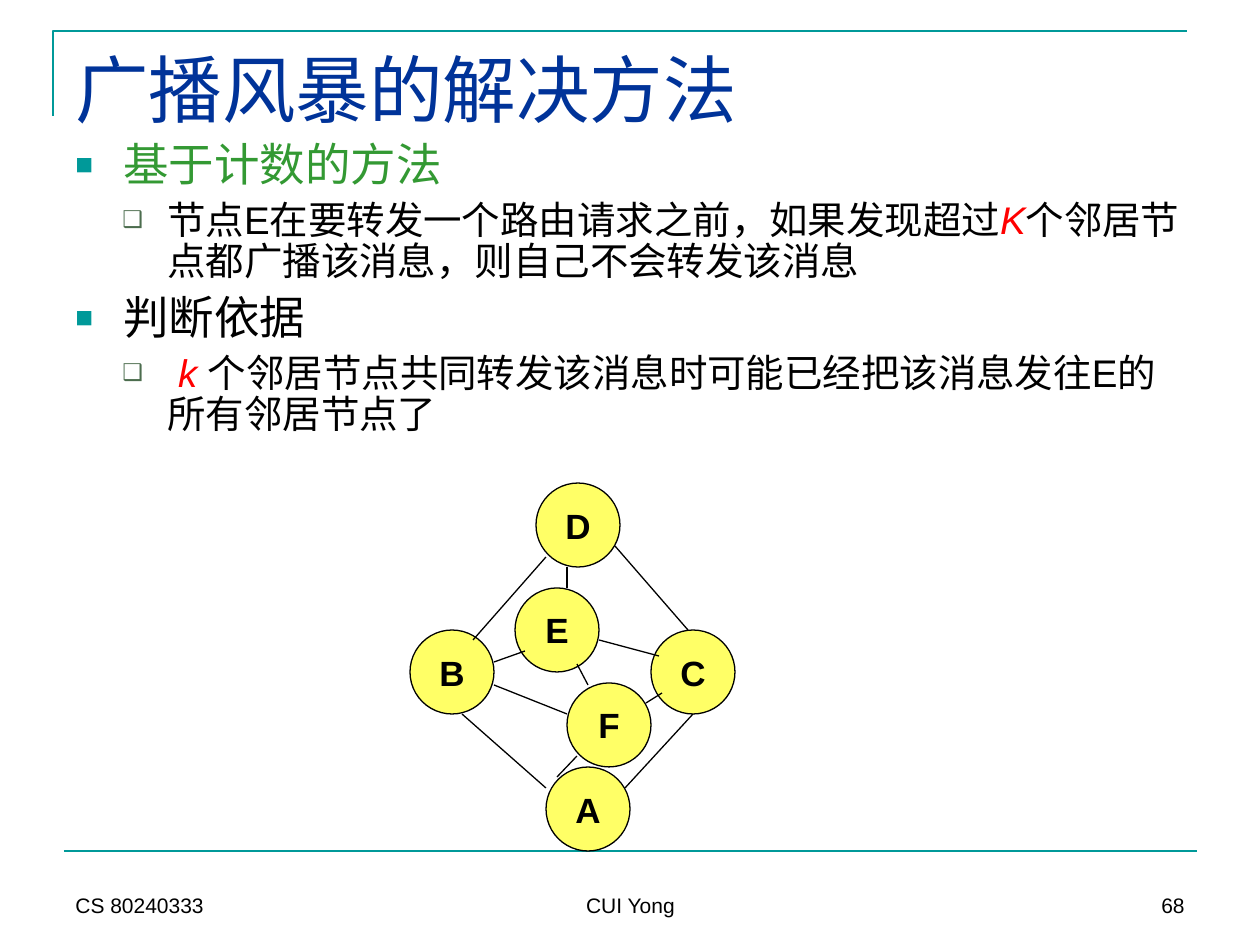
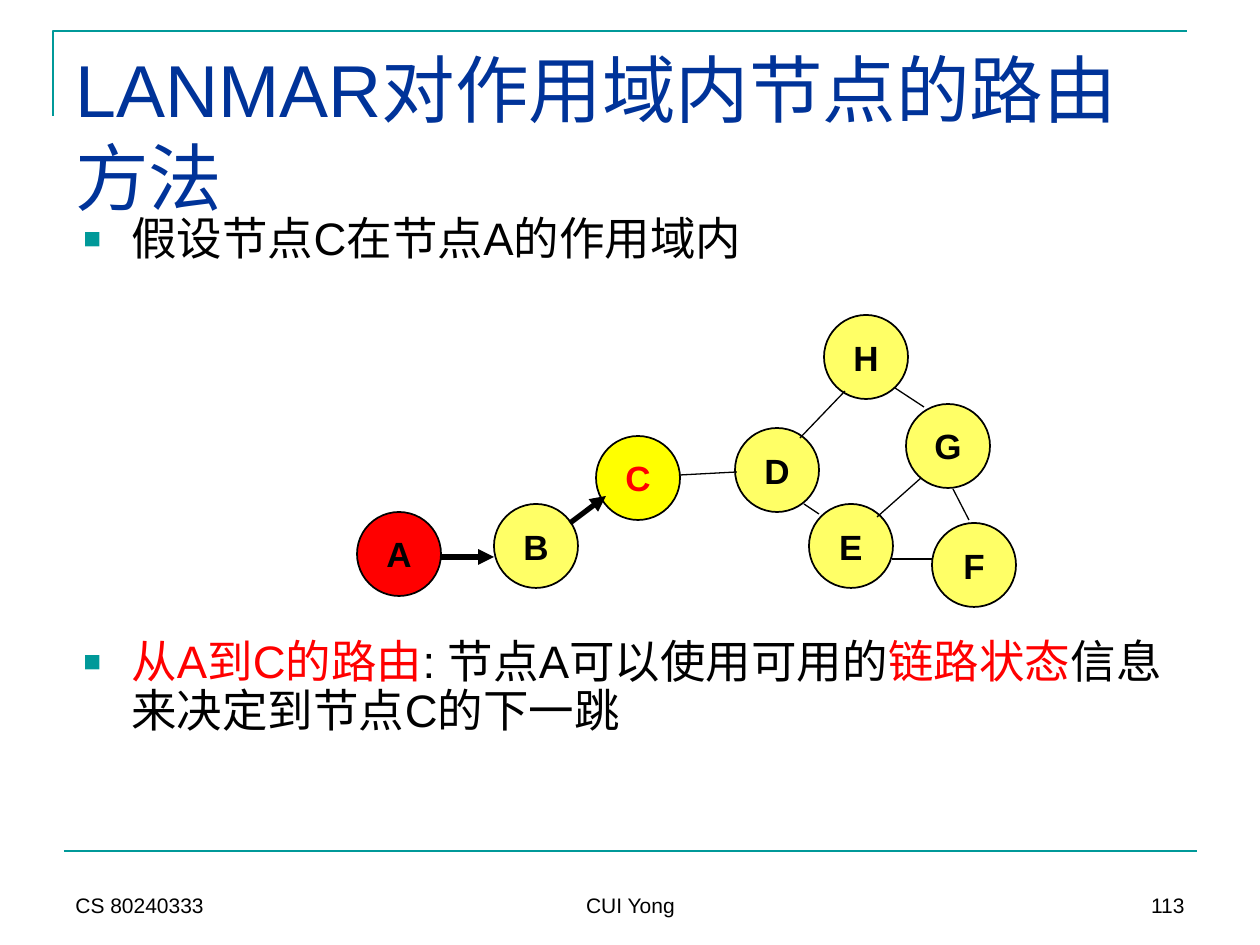
from dataclasses import dataclass

from lxml.etree import SubElement
from pptx import Presentation
from pptx.dml.color import RGBColor as RGB
from pptx.enum.shapes import MSO_CONNECTOR as Connector, MSO_SHAPE as Shape
from pptx.enum.text import MSO_ANCHOR as Anchor, PP_ALIGN as Align
from pptx.oxml.ns import qn
from pptx.util import Pt

EMU_PER_PX = 914400 / 126


@dataclass(frozen=True)
class Theme:
    font: str = "Arial"
    teal: str = "009999"
    navy: str = "003399"
    green: str = "339933"
    moss: str = "4C6D4E"
    red: str = "FF0000"
    black: str = "000000"
    pale_yellow: str = "FFFF66"
    yellow: str = "FFFF00"
    title_size: int = 42
    point_size: int = 26
    detail_size: int = 22
    node_size: int = 20
    footer_size: int = 12
    rule_width: float = 1.5
    edge_width: float = 0.75
    route_width: float = 3


THEME = Theme()
BLACK, RED = THEME.black, THEME.red
NODE_DIAMETER = 84

# Bullet levels: size, margin px, hanging px, space before, symbol, colour, percent
LEVELS = [
    (THEME.point_size, 48, 48, 6.5, "■", THEME.teal, 65),
    (THEME.detail_size, 92, 45, 5.5, "❑", THEME.moss, 60),
]

# Points are (level, extra space before, runs); a run is (text, colour, italic).
# Nodes are name: (left, top, fill, text colour); edges are (x1, y1, x2, y2).
SLIDES = [
    {
        "title": "广播风暴的解决方法",
        "number": "68",
        "body": (63, 136, 1134, 336),
        "points": [
            (0, 0, [("基于计数的方法", THEME.green, False)]),
            (1, 0, [("节点E在要转发一个路由请求之前，如果发现超过", BLACK, False),
                    ("K", RED, True),
                    ("个邻居节点都广播该消息，则自己不会转发该消息", BLACK, False)]),
            (0, 0, [("判断依据", BLACK, False)]),
            (1, 0, [(" k ", RED, True),
                    ("个邻居节点共同转发该消息时可能已经把该消息发往E的所有邻居节点了",
                     BLACK, False)]),
        ],
        "outline": 0.75,
        "nodes": {
            "B": (410, 630, THEME.pale_yellow, BLACK),
            "D": (536, 483, THEME.pale_yellow, BLACK),
            "C": (651, 630, THEME.pale_yellow, BLACK),
            "A": (546, 767, THEME.pale_yellow, BLACK),
            "F": (567, 683, THEME.pale_yellow, BLACK),
            "E": (515, 588, THEME.pale_yellow, BLACK),
        },
        "edges": [
            (546, 557, 473, 640), (462, 714, 546, 788), (693, 714, 625, 788),
            (615, 546, 688, 630), (525, 651, 494, 662), (494, 685, 567, 714),
            (577, 664, 588, 685), (577, 756, 557, 777), (646, 703, 662, 693),
            (599, 640, 659, 656), (567, 567, 567, 588),
        ],
        "route": [],
    },
    {
        "title": "LANMAR对作用域内节点的路由方法",
        "number": "113",
        "body": (71, 210, 1134, 624),
        "points": [
            (0, 0, [("假设节点C在节点A的作用域内", BLACK, False)]),
            (0, 207, [("从A到C的路由", RED, False),
                      (": 节点A可以使用可用的", BLACK, False),
                      ("链路状态", RED, False),
                      ("信息来决定到节点C的下一跳", BLACK, False)]),
        ],
        "outline": 1,
        "nodes": {
            "A": (357, 512, RED, BLACK),
            "B": (494, 504, THEME.pale_yellow, BLACK),
            "C": (596, 436, THEME.yellow, RED),
            "F": (932, 523, THEME.pale_yellow, BLACK),
            "H": (824, 315, THEME.pale_yellow, BLACK),
            "G": (906, 404, THEME.pale_yellow, BLACK),
            "E": (809, 504, THEME.pale_yellow, BLACK),
            "D": (735, 428, THEME.pale_yellow, BLACK),
        },
        "edges": [
            (895, 388, 924, 407), (953, 489, 969, 520), (845, 391, 800, 438),
            (680, 475, 737, 472), (804, 504, 819, 514), (892, 559, 932, 559),
            (877, 517, 921, 478),
        ],
        "route": [(441, 557, 494, 557), (570, 523, 606, 496)],
    },
]


def px(*lengths):
    return [round(length * EMU_PER_PX) for length in lengths]


def write(paragraph, runs, size, bold=False):
    for text, color, italic in runs:
        run = paragraph.add_run()
        run.text = text
        run.font.name = THEME.font
        run.font.size = Pt(size)
        run.font.bold = bold
        run.font.italic = italic
        run.font.color.rgb = RGB.from_string(color)


deck = Presentation()
deck.slide_width, deck.slide_height = px(1260, 945)

for content in SLIDES:
    slide = deck.slides.add_slide(deck.slide_layouts[6])
    shapes = slide.shapes

    # Corner rule above the title
    builder = shapes.build_freeform(53, 116, scale=EMU_PER_PX)
    builder.add_line_segments([(53, 31), (1187, 31)], close=False)
    corner = builder.convert_to_shape()
    corner.shadow.inherit = False
    corner.fill.background()
    corner.line.color.rgb = RGB.from_string(THEME.teal)
    corner.line.width = Pt(THEME.rule_width)

    # Title and footers
    footer = (THEME.footer_size, BLACK, Anchor.BOTTOM)
    labels = [
        (content["title"], (63, 38, 1134, 158), Align.LEFT,
         THEME.title_size, THEME.navy, Anchor.TOP),
        ("CS 80240333", (63, 861, 294, 63), Align.LEFT, *footer),
        ("CUI Yong", (431, 861, 399, 63), Align.CENTER, *footer),
        (content["number"], (903, 861, 294, 63), Align.RIGHT, *footer),
    ]
    for text, box, align, size, color, anchor in labels:
        frame = shapes.add_textbox(*px(*box)).text_frame
        frame.word_wrap = True
        frame.vertical_anchor = anchor
        frame.paragraphs[0].alignment = align
        write(frame.paragraphs[0], [(text, color, False)], size)

    # Bulleted points
    frame = shapes.add_textbox(*px(*content["body"])).text_frame
    frame.word_wrap = True
    for index, (level, gap, runs) in enumerate(content["points"]):
        size, margin, hanging, before, symbol, color, percent = LEVELS[level]
        point = frame.add_paragraph() if index else frame.paragraphs[0]
        point.level = level
        point.line_spacing = 0.9
        point.space_before = Pt(before + gap if index else 0)
        props = point._p.get_or_add_pPr()
        left, indent = px(margin, -hanging)
        props.set("marL", str(left))
        props.set("indent", str(indent))
        SubElement(SubElement(props, qn("a:buClr")), qn("a:srgbClr"), val=color)
        SubElement(props, qn("a:buSzPct"), val=str(percent * 1000))
        SubElement(props, qn("a:buFont"), typeface=THEME.font)
        SubElement(props, qn("a:buChar"), char=symbol)
        write(point, runs, size)

    # Footer rule, drawn before the nodes, then network links above them
    rule = [((64, 851, 1197, 851), THEME.teal, THEME.rule_width, False)]
    links = [(ends, BLACK, THEME.edge_width, False) for ends in content["edges"]]
    links += [(ends, BLACK, THEME.route_width, True) for ends in content["route"]]
    for layer in (rule, links):
        if layer is links:
            # Network nodes
            for name, (x, y, fill, color) in content["nodes"].items():
                node = shapes.add_shape(
                    Shape.OVAL, *px(x, y, NODE_DIAMETER, NODE_DIAMETER))
                node.shadow.inherit = False
                node.fill.solid()
                node.fill.fore_color.rgb = RGB.from_string(fill)
                node.line.color.rgb = RGB.from_string(BLACK)
                node.line.width = Pt(content["outline"])
                node.text_frame.word_wrap = False
                node.text_frame.vertical_anchor = Anchor.MIDDLE
                caption = node.text_frame.paragraphs[0]
                caption.alignment = Align.CENTER
                write(caption, [(name, color, False)], THEME.node_size, bold=True)
        for ends, color, width, arrow in layer:
            link = shapes.add_connector(Connector.STRAIGHT, *px(*ends))
            link.line.color.rgb = RGB.from_string(color)
            link.line.width = Pt(width)
            if arrow:
                SubElement(link.line._get_or_add_ln(), qn("a:tailEnd"), type="triangle")
            SubElement(link._element.spPr, qn("a:effectLst"))

deck.save("out.pptx")
